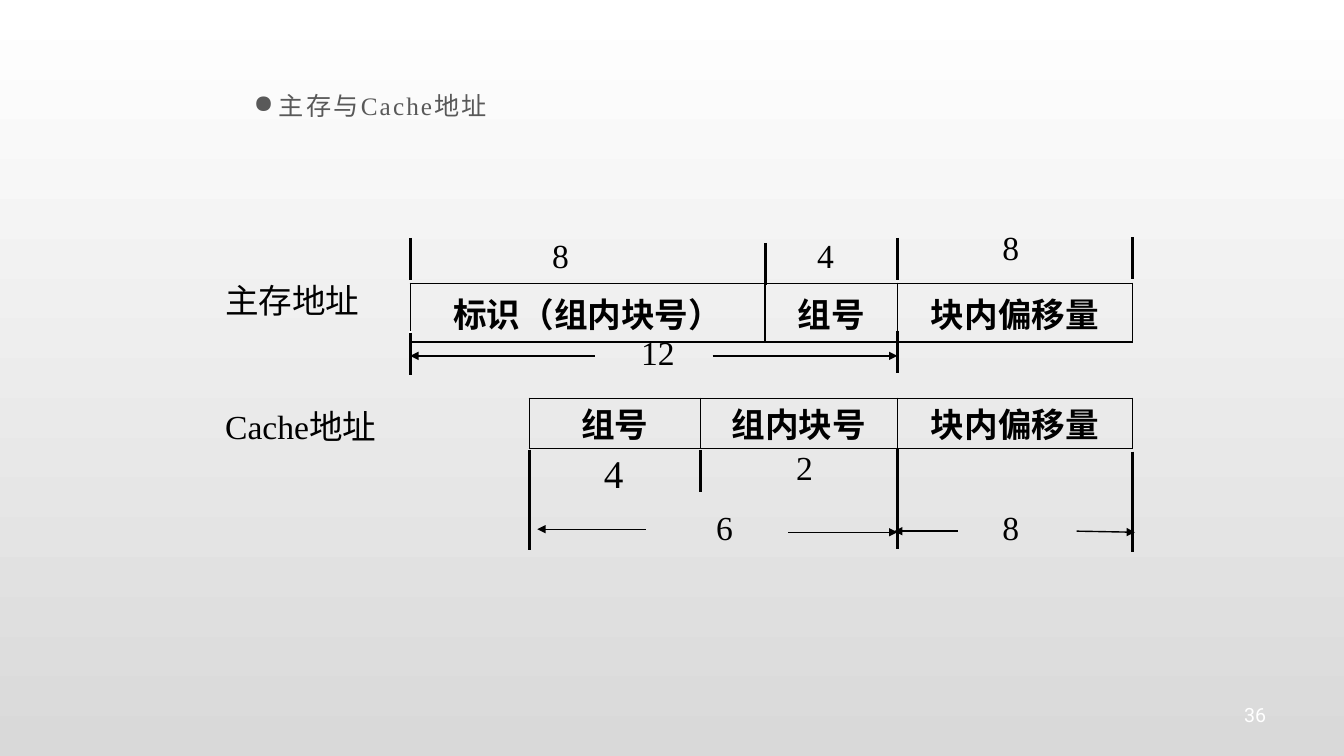
"""Build a slide comparing main memory and cache address fields."""
from dataclasses import dataclass
from itertools import pairwise
from typing import Any

from lxml.etree import SubElement
from pptx import Presentation
from pptx.dml.color import RGBColor
from pptx.enum.shapes import MSO_CONNECTOR
from pptx.enum.text import MSO_ANCHOR, PP_ALIGN
from pptx.oxml.ns import qn
from pptx.util import Pt

BLACK = RGBColor(0x00, 0x00, 0x00)
WHITE = RGBColor(0xFF, 0xFF, 0xFF)
GRAY = RGBColor(0x59, 0x59, 0x59)
BOTTOM_GRAY = RGBColor(0xD9, 0xD9, 0xD9)
SERIF = "Times New Roman"
SANS = "Roboto"

LEFT, MEM_SPLIT, OFFSET, RIGHT = 293, 546.5, 641, 809
CACHE_LEFT, CACHE_SPLIT = 378, 500.4


@dataclass(frozen=True)
class Label:
    text: str
    x: float
    y: float
    w: float = 30
    h: float = 28.8
    size: float = 24
    color: RGBColor = BLACK
    font: str = SERIF
    align: PP_ALIGN = PP_ALIGN.CENTER
    anchor: MSO_ANCHOR = MSO_ANCHOR.MIDDLE
    inset_x: float = 0
    inset_y: float = 0


@dataclass(frozen=True)
class AddressRow:
    y: float
    h: float
    edges: tuple[float, ...]
    fields: tuple[str, ...]


@dataclass(frozen=True)
class Tick:
    x: float
    y: float
    length: float = 30
    color: RGBColor = BLACK


@dataclass(frozen=True)
class Arrow:
    x1: float
    y1: float
    x2: float
    y2: float
    end: str


NUMBER = Label("36", 699, 497.5, 212.5, 25.2, 14, WHITE, SANS,
               PP_ALIGN.RIGHT, MSO_ANCHOR.BOTTOM, 7.2, 3.6)
HEADING = Label("主存与Cache地址", 174.2, 54.7, 612, 413.3, 18, GRAY, SERIF,
                PP_ALIGN.LEFT, MSO_ANCHOR.TOP, 7.2, 3.6)
LABELS = (
    Label("主存地址", 154.8, 200.2, 108),
    Label("Cache地址", 154.8, 290.2, 120),
    Label("8", 364.3, 167.8, 72),
    Label("4", 574.6, 167.8),
    Label("8", 707, 162),
    Label("12", 455, 236.9),
    Label("4", 423.4, 321.1, h=33.8, size=28),
    Label("2", 563.8, 319, 21.6),
    Label("6", 502.6, 362.2),
    Label("8", 707, 362.2),
)
ROWS = (
    AddressRow(202.3, 42, (LEFT, MEM_SPLIT, OFFSET, RIGHT),
               ("标识（组内块号）", "组号", "块内偏移量")),
    AddressRow(284.4, 36, (CACHE_LEFT, CACHE_SPLIT, OFFSET, RIGHT),
               ("组号", "组内块号", "块内偏移量")),
)
TICKS = (
    Tick(LEFT, 170),
    Tick(MEM_SPLIT, 173.5),
    Tick(OFFSET, 170),
    Tick(RIGHT, 169.6),
    Tick(LEFT, 236.2, color=WHITE),
    Tick(LEFT, 237.6),
    Tick(OFFSET, 236.2),
    Tick(CACHE_SPLIT, 321.1),
    Tick(CACHE_LEFT, 321.1, 72),
    Tick(OFFSET, 320.4, 72),
    Tick(RIGHT, 322.6, 72),
)
ARROWS = (
    Arrow(LEFT, 254.2, 424.8, 254.2, "a:headEnd"),
    Arrow(509, 254.2, OFFSET, 254.2, "a:tailEnd"),
    Arrow(383.8, 378, 461.5, 378, "a:headEnd"),
    Arrow(563, 380.2, OFFSET, 380.2, "a:tailEnd"),
    Arrow(638.6, 379.4, 684, 379.4, "a:headEnd"),
    Arrow(769, 379.4, 810.7, 380.2, "a:tailEnd"),
)


def add_label(s: Any, label: Label) -> Any:
    sp = s.shapes.add_textbox(Pt(label.x), Pt(label.y), Pt(label.w), Pt(label.h))
    tf = sp.text_frame
    tf.text = label.text
    tf.word_wrap = True
    tf.vertical_anchor = label.anchor
    tf.margin_left = tf.margin_right = Pt(label.inset_x)
    tf.margin_top = tf.margin_bottom = Pt(label.inset_y)
    p = tf.paragraphs[0]
    p.alignment = label.align
    font = p.runs[0].font
    font.size, font.name = Pt(label.size), label.font
    font.color.rgb = label.color
    return p


def add_heading(s: Any, label: Label) -> None:
    p = add_label(s, label)
    p.line_spacing = 1.3
    p.space_after = Pt(10)
    p.runs[0].font._element.set("spc", "150")
    pPr = p._p.get_or_add_pPr()
    pPr.set("marL", str(Pt(18)))
    pPr.set("indent", str(Pt(-18)))
    SubElement(pPr, qn("a:buChar")).set("char", "●")


def add_cell_borders(cell: Any) -> None:
    tcPr = cell._tc.get_or_add_tcPr()
    for i, side in enumerate(("a:lnL", "a:lnR", "a:lnT", "a:lnB")):
        ln = tcPr.makeelement(qn(side), {"w": str(Pt(1))})
        fill = SubElement(ln, qn("a:solidFill"))
        SubElement(fill, qn("a:srgbClr")).set("val", str(BLACK))
        tcPr.insert(i, ln)


def add_address_row(s: Any, row: AddressRow) -> None:
    left, right = row.edges[0], row.edges[-1]
    table = s.shapes.add_table(1, len(row.fields), Pt(left), Pt(row.y),
                               Pt(right - left), Pt(row.h)).table
    table.first_row = table.horz_banding = False
    for i, (start, end) in enumerate(pairwise(row.edges)):
        table.columns[i].width = Pt(end - start)
        cell = table.cell(0, i)
        cell.fill.background()
        cell.vertical_anchor = MSO_ANCHOR.MIDDLE
        cell.margin_top = cell.margin_bottom = Pt(0)
        cell.text_frame.text = row.fields[i]
        p = cell.text_frame.paragraphs[0]
        p.alignment = PP_ALIGN.CENTER
        font = p.runs[0].font
        font.size, font.name, font.bold = Pt(24), SANS, True
        font.color.rgb = BLACK
        add_cell_borders(cell)


def add_line(s: Any, x1: float, y1: float, x2: float, y2: float,
             width: float, color: RGBColor) -> Any:
    sp = s.shapes.add_connector(MSO_CONNECTOR.STRAIGHT, Pt(x1), Pt(y1), Pt(x2), Pt(y2))
    sp.line.width = Pt(width)
    sp.line.color.rgb = color
    SubElement(sp._element.spPr, qn("a:effectLst"))
    return sp


def main() -> None:
    prs = Presentation()
    prs.slide_width, prs.slide_height = Pt(960), Pt(540)
    s = prs.slides.add_slide(prs.slide_layouts[6])
    fill = s.background.fill
    fill.gradient()
    fill.gradient_angle = 270
    for stop, color in zip(fill.gradient_stops, (WHITE, BOTTOM_GRAY)):
        stop.color.rgb = color
    fill.gradient_stops[0].position = 0
    fill.gradient_stops[1].position = 1
    add_label(s, NUMBER)
    add_heading(s, HEADING)
    for row in ROWS:
        add_address_row(s, row)
    for tick in TICKS:
        add_line(s, tick.x, tick.y, tick.x, tick.y + tick.length, 2.25, tick.color)
    for arrow in ARROWS:
        sp = add_line(s, arrow.x1, arrow.y1, arrow.x2, arrow.y2, 1, BLACK)
        SubElement(sp.line._get_or_add_ln(), qn(arrow.end)).set("type", "triangle")
    for label in LABELS:
        add_label(s, label)
    prs.save("out.pptx")


if __name__ == "__main__":
    main()
